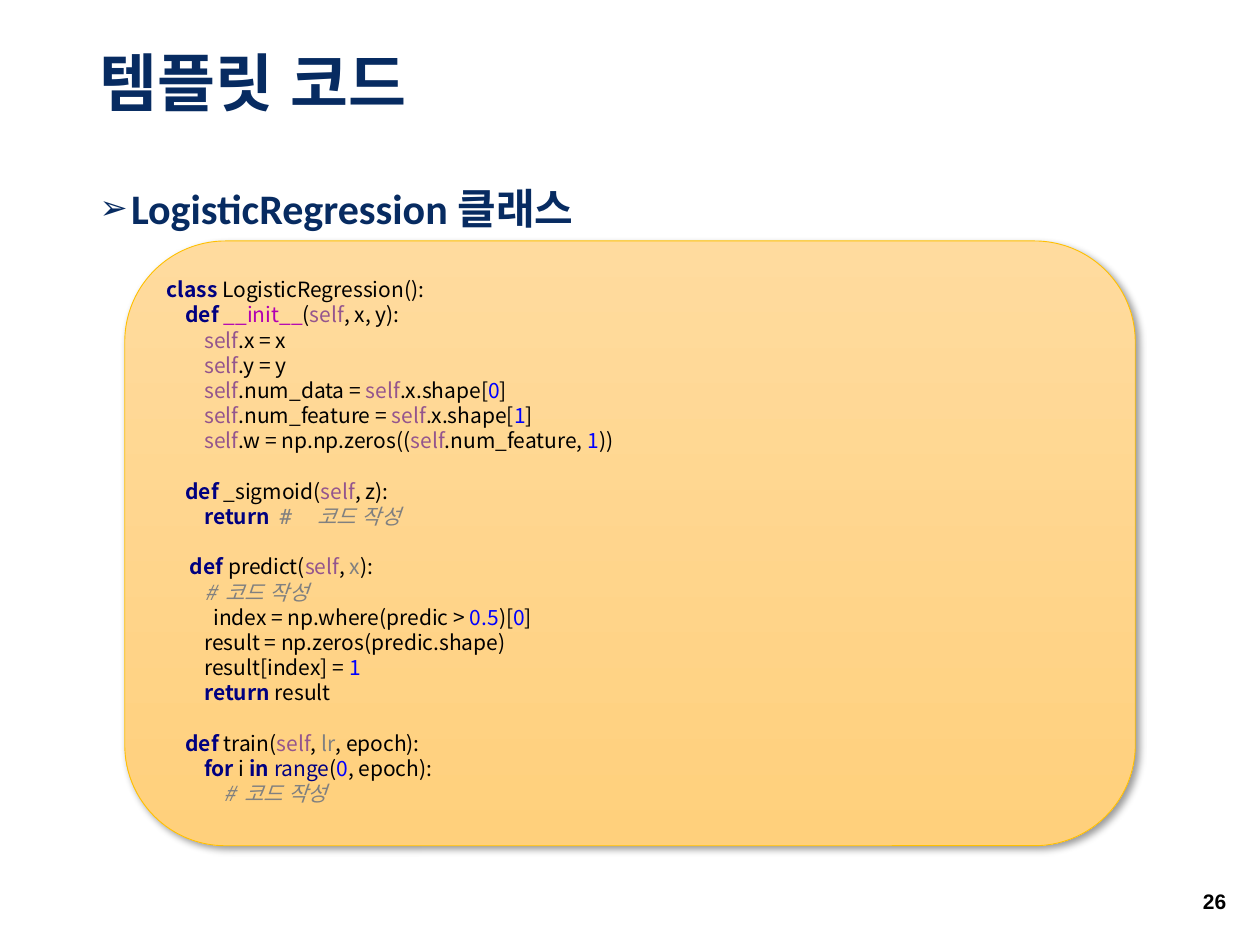
from lxml import etree
from pptx import Presentation
from pptx.dml.color import RGBColor
from pptx.enum.shapes import MSO_SHAPE
from pptx.enum.text import MSO_ANCHOR, MSO_AUTO_SIZE, PP_ALIGN
from pptx.oxml import parse_xml
from pptx.oxml.ns import nsdecls, qn
from pptx.util import Inches, Pt

ROUNDED, RECTANGLE = MSO_SHAPE.ROUNDED_RECTANGLE, MSO_SHAPE.RECTANGLE
MIDDLE, TOP = MSO_ANCHOR.MIDDLE, MSO_ANCHOR.TOP
GROW = MSO_AUTO_SIZE.SHAPE_TO_FIT_TEXT
LEFT, RIGHT = PP_ALIGN.LEFT, PP_ALIGN.RIGHT

WHITE = RGBColor(0xFF, 0xFF, 0xFF)
NAVY = RGBColor(0x07, 0x2B, 0x61)
BLACK = RGBColor(0, 0, 0)
GRAY = RGBColor(0x80, 0x80, 0x80)
KEYWORD_BLUE = RGBColor(0, 0, 0x80)
NUMBER_BLUE = RGBColor(0, 0, 0xFF)
MAGENTA = RGBColor(0xB2, 0, 0xB2)
MAUVE = RGBColor(0x94, 0x55, 0x8D)
PALE_ORANGE = RGBColor(0xFF, 0xDB, 0x9E)
DEEP_ORANGE = RGBColor(0xFF, 0xD0, 0x7C)
AMBER = RGBColor(0xFF, 0xC0, 0)

SLIDE_WIDTH, SLIDE_HEIGHT = Inches(10), Inches(7.5)
TITLE_BOX = (0.069, 0.024, 0.862, 0.135)
BODY_BOX = (0.069, 0.192, 0.862, 0.725)
CODE_BOX = (0.099, 0.255, 0.802, 0.64)
NUMBER_BOX = (0.931, 0.927, 0.052, 0.053)
CORNER_BOX = (0, 0.007, 0.02, 0.053)

CODE_SIZE = Pt(12)
CODE_FONT = "Noto Sans CJK KR"
EAST_ASIAN_FONT = "Arial"
TITLE_FORMAT = {"name": "Calibri", "size": Pt(36), "bold": True}
TOPIC_FORMAT = {"name": "Calibri", "size": Pt(24), "bold": True}
NUMBER_FORMAT = {"name": "Arial", "size": Pt(12), "bold": True}
CODE_FORMAT = {"name": CODE_FONT, "size": CODE_SIZE, "bold": False, "italic": False}
STYLES = {
    "plain": (BLACK, {}),
    "keyword": (KEYWORD_BLUE, {"bold": True}),
    "builtin": (KEYWORD_BLUE, {}),
    "magic": (MAGENTA, {}),
    "self": (MAUVE, {}),
    "number": (NUMBER_BLUE, {}),
    "unused": (GRAY, {}),
    "comment": (GRAY, {"italic": True}),
    "mono": (GRAY, {"italic": True, "name": "DejaVu Sans Mono"}),
}
SELF = ("self", "self")
DEF = ("keyword", "def ")
ZERO = ("number", "0")
ONE = ("number", "1")
CODE = [
    ("keyword", "class "), ("plain", "LogisticRegression():\n    "),
    DEF, ("magic", "__init__"), ("plain", "("), SELF, ("plain", ", x, y):\n        "),
    SELF, ("plain", ".x = x\n        "),
    SELF, ("plain", ".y = y\n        "),
    SELF, ("plain", ".num_data = "), SELF, ("plain", ".x.shape["), ZERO,
    ("plain", "]\n        "),
    SELF, ("plain", ".num_feature = "), SELF, ("plain", ".x.shape["), ONE,
    ("plain", "]\n        "),
    SELF, ("plain", ".w = np.np.zeros(("), SELF, ("plain", ".num_feature, "), ONE,
    ("plain", "))\n\n    "),
    DEF, ("plain", "_sigmoid("), SELF, ("plain", ", z):\n        "),
    ("keyword", "return  "), ("mono", "#  코드 작성\n\n    "),
    DEF, ("plain", "predict("), SELF, ("plain", ", "), ("unused", "x"),
    ("plain", "):\n        "),
    ("comment", "#  코드 작성\n        "),
    ("plain", "index = np.where(predic > "), ("number", "0.5"), ("plain", ")["), ZERO,
    ("plain", "]\n        result = np.zeros(predic.shape)\n        result[index] = "),
    ("number", "1\n        "),
    ("keyword", "return "), ("plain", "result\n\n    "),
    DEF, ("plain", "train("), SELF, ("plain", ", "), ("unused", "lr"),
    ("plain", ", epoch):\n        "),
    ("keyword", "for "), ("plain", "i "), ("keyword", "in "), ("builtin", "range"),
    ("plain", "("), ZERO, ("plain", ", epoch):\n            "),
    ("comment", "#  코드 작성"),
]


def scale(box):
    """Turn shares of the slide into lengths."""
    left, top, width, height = box
    return (int(left * SLIDE_WIDTH), int(top * SLIDE_HEIGHT),
            int(width * SLIDE_WIDTH), int(height * SLIDE_HEIGHT))


def place(shape, box):
    """Move a placeholder to its box."""
    shape.left, shape.top, shape.width, shape.height = scale(box)


def add_span(para, text, color, values):
    """Add a formatted run with Latin and East Asian fonts to a paragraph."""
    span = para.add_run()
    span.text = text
    for name, value in values.items():
        setattr(span.font, name, value)
    span.font.color.rgb = color
    properties = span._r.get_or_add_rPr()
    etree.SubElement(properties, qn("a:ea")).set("typeface", EAST_ASIAN_FONT)


def fill_title(page, box):
    """Write the slide title."""
    title = page.shapes.title
    place(title, box)
    title.text_frame.vertical_anchor = MIDDLE
    para = title.text_frame.paragraphs[0]
    para.alignment = LEFT
    para.line_spacing = 0.9
    add_span(para, "템플릿 코드", NAVY, TITLE_FORMAT)


def fill_body(page, box):
    """Write the bulleted topic line."""
    body = page.placeholders[1]
    place(body, box)
    body.text_frame.vertical_anchor = TOP
    para = body.text_frame.paragraphs[0]
    para.line_spacing = 0.9
    para.space_before = Pt(0)
    properties = para._p.get_or_add_pPr()
    properties.set("marL", str(Inches(0.25)))
    properties.set("indent", str(-Inches(0.25)))
    for tag, name, value in (("a:buSzPct", "val", "80000"),
                             ("a:buFont", "typeface", "Arial"),
                             ("a:buChar", "char", "➢")):
        etree.SubElement(properties, qn(tag)).set(name, value)
    add_span(para, "LogisticRegression 클래스", NAVY, TOPIC_FORMAT)


def add_shadow(shape):
    """Give a shape a soft shadow to the lower right."""
    shape._element.spPr.append(parse_xml(
        f'<a:effectLst {nsdecls("a")}>'
        f'<a:outerShdw blurRad="{Pt(4)}" dist="{Pt(3)}" dir="2700000" algn="tl" rotWithShape="0">'
        '<a:srgbClr val="000000"><a:alpha val="40000"/></a:srgbClr>'
        '</a:outerShdw></a:effectLst>'))


def add_code_panel(page, box):
    """Draw the rounded panel and write the highlighted code."""
    panel = page.shapes.add_shape(ROUNDED, *scale(box))
    panel.fill.gradient()
    panel.fill.gradient_angle = 270
    for stop, color in zip(panel.fill.gradient_stops, (PALE_ORANGE, DEEP_ORANGE)):
        stop.color.rgb = color
    panel.line.color.rgb = AMBER
    panel.line.width = Pt(0.5)
    add_shadow(panel)
    frame = panel.text_frame
    frame.word_wrap = True
    frame.auto_size = GROW
    frame.vertical_anchor = TOP
    para = frame.paragraphs[0]
    para.alignment = LEFT
    para.line_spacing = Pt(14.4)
    for style, text in CODE:
        color, changes = STYLES[style]
        for index, piece in enumerate(text.split("\n")):
            if index:
                para.add_line_break()
            if piece:
                add_span(para, piece, color, {**CODE_FORMAT, **changes})
    for line_break in para._p.findall(qn("a:br")):
        etree.SubElement(line_break, qn("a:rPr")).set("sz", str(CODE_SIZE.centipoints))


def add_page_number(page, box):
    """Write the page number."""
    frame = page.shapes.add_textbox(*scale(box)).text_frame
    frame.word_wrap = True
    frame.vertical_anchor = MIDDLE
    para = frame.paragraphs[0]
    para.alignment = RIGHT
    add_span(para, "26", BLACK, NUMBER_FORMAT)


def add_corner(page, box):
    """Draw the plain white block in the top left corner."""
    corner = page.shapes.add_shape(RECTANGLE, *scale(box))
    corner.shadow.inherit = False
    corner.fill.solid()
    corner.fill.fore_color.rgb = WHITE
    corner.line.fill.background()


def main():
    """Build the deck and save it."""
    deck = Presentation()
    deck.slide_width, deck.slide_height = SLIDE_WIDTH, SLIDE_HEIGHT
    page = deck.slides.add_slide(deck.slide_layouts[1])
    fill_title(page, TITLE_BOX)
    fill_body(page, BODY_BOX)
    add_page_number(page, NUMBER_BOX)
    add_code_panel(page, CODE_BOX)
    add_corner(page, CORNER_BOX)
    deck.save("out.pptx")


if __name__ == "__main__":
    main()
